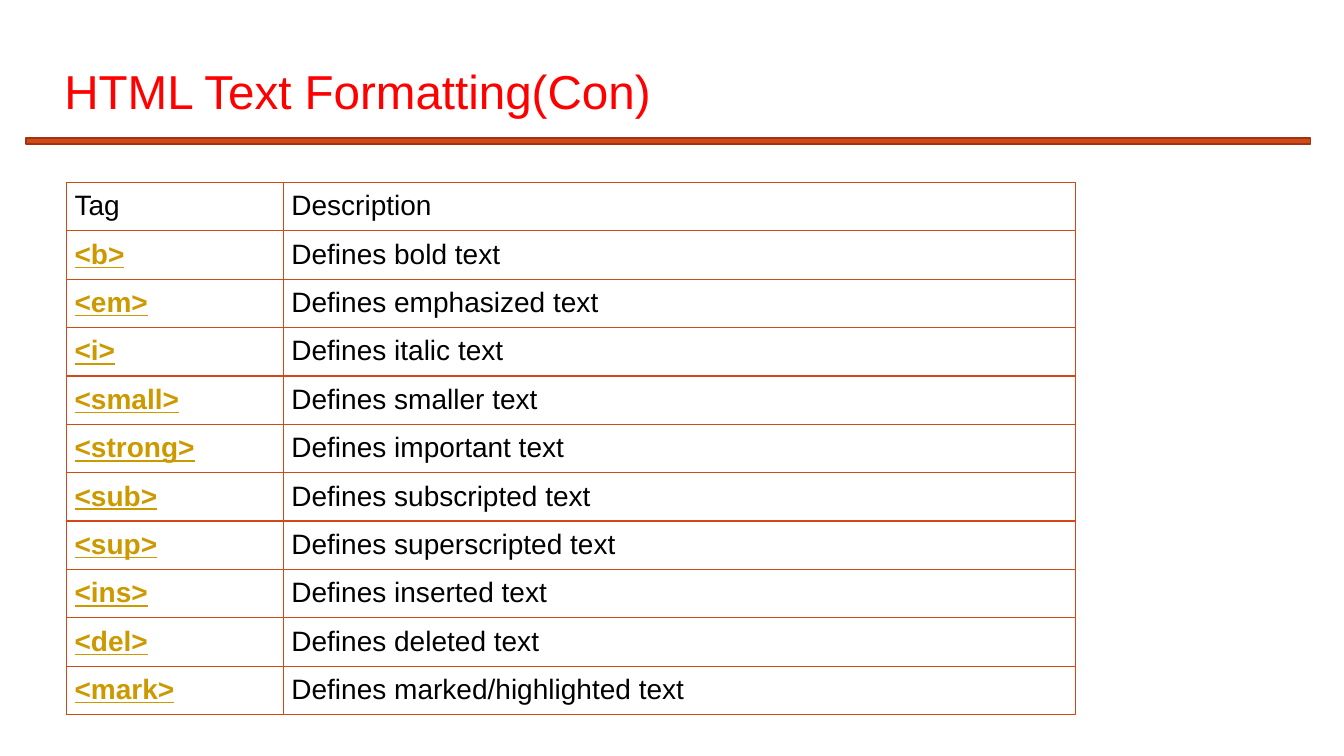
import dataclasses

import pptx
import pptx.dml.color
import pptx.enum.shapes
import pptx.enum.text
import pptx.oxml
import pptx.oxml.ns
import pptx.util

Inches = pptx.util.Inches
Pt = pptx.util.Pt


def color(code):
    return pptx.dml.color.RGBColor.from_string(code)


@dataclasses.dataclass
class Theme:
    font: str = "Arial"
    title: str = "FF0000"
    text: str = "000000"
    tag: str = "CC9900"
    rule: str = "D34817"
    edge: str = "9C3511"
    head: int = 34
    body: int = 20
    line: int = 1


class Deck:
    """Holds the style and the current slide, and draws each kind of element."""

    def __init__(self, theme):
        self.theme = theme
        self.show = pptx.Presentation()
        self.show.slide_width = Inches(13.33)
        self.show.slide_height = Inches(7.5)
        self.slide = self.show.slides.add_slide(self.show.slide_layouts[6])

    def style(self, item, values):
        for name, value in values.items():
            setattr(item, name, value)

    def label(self, para, text, size, code, **extra):
        run = para.add_run()
        run.text = text
        self.style(run.font, {"name": self.theme.font, "size": Pt(size), **extra})
        run.font.color.rgb = color(code)

    def title(self, text, *box):
        frame = self.slide.shapes.add_textbox(*map(Inches, box)).text_frame
        self.style(frame, {
            "word_wrap": True,
            "vertical_anchor": pptx.enum.text.MSO_ANCHOR.MIDDLE,
        })
        para = frame.paragraphs[0]
        para.line_spacing = 0.9
        self.label(para, text, self.theme.head, self.theme.title)

    def bar(self, *box):
        kind = pptx.enum.shapes.MSO_SHAPE.RECTANGLE
        shape = self.slide.shapes.add_shape(kind, *map(Inches, box))
        shape.shadow.inherit = False
        shape.fill.solid()
        shape.fill.fore_color.rgb = color(self.theme.rule)
        shape.line.color.rgb = color(self.theme.edge)
        shape.line.width = Pt(self.theme.line)

    def border(self, cell):
        props = cell._tc.get_or_add_tcPr()
        space = pptx.oxml.ns.nsdecls("a")
        for spot, side in enumerate("LRTB"):
            props.insert(spot, pptx.oxml.parse_xml(
                f'<a:ln{side} {space} w="{Pt(self.theme.line)}"><a:solidFill>'
                f'<a:srgbClr val="{self.theme.rule}"/></a:solidFill></a:ln{side}>'))

    def cell(self, cell, text, code, **extra):
        sides = ("left", "right", "top", "bottom")
        self.style(cell, {f"margin_{side}": Inches(0.08) for side in sides})
        cell.fill.background()
        self.border(cell)
        para = cell.text_frame.paragraphs[0]
        self.label(para, text, self.theme.body, code, **extra)

    def table(self, rows, left, top, widths, height):
        box = (left, top, sum(widths), height * len(rows))
        table = self.slide.shapes.add_table(
            len(rows), len(widths), *map(Inches, box)).table
        self.style(table, {"first_row": False, "horz_banding": False})
        for col, width in zip(table.columns, widths):
            col.width = Inches(width)
        for row, texts in zip(table.rows, rows):
            row.height = Inches(height)
            for cell, text in zip(row.cells, texts):
                if text.startswith("<"):
                    self.cell(cell, text, self.theme.tag, bold=True, underline=True)
                else:
                    self.cell(cell, text, self.theme.text)


def main():
    tags = {
        "b": "bold",
        "em": "emphasized",
        "i": "italic",
        "small": "smaller",
        "strong": "important",
        "sub": "subscripted",
        "sup": "superscripted",
        "ins": "inserted",
        "del": "deleted",
        "mark": "marked/highlighted",
    }
    rows = [("Tag", "Description")]
    rows += [(f"<{tag}>", f"Defines {kind} text") for tag, kind in tags.items()]
    deck = Deck(Theme())
    deck.table(rows, 0.66, 1.81, (2.15, 7.86), 0.48)
    deck.title("HTML Text Formatting(Con)", 0.54, 0.38, 12.02, 1.11)
    deck.bar(0.26, 1.37, 12.74, 0.06)
    deck.show.save("out.pptx")


if __name__ == "__main__":
    main()
